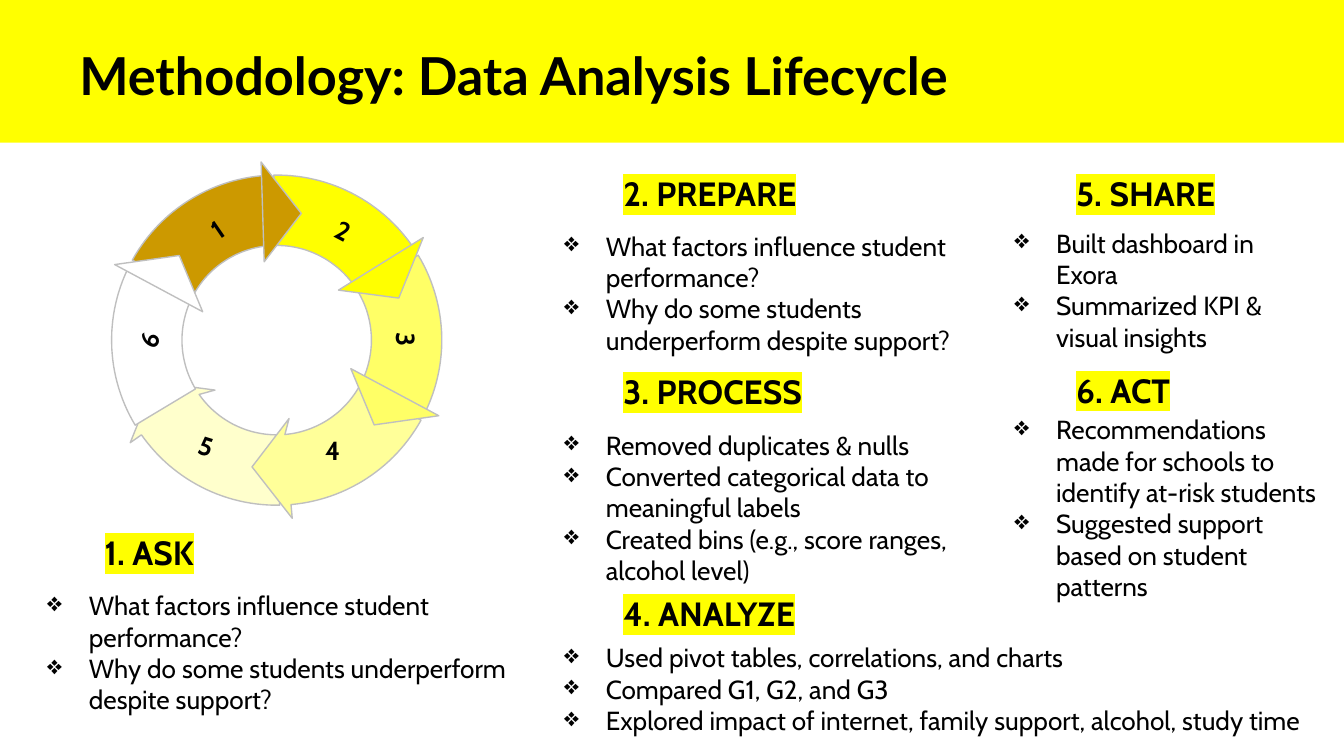
from dataclasses import dataclass
from math import cos, radians, sin

from lxml.etree import SubElement
from pptx import Presentation
from pptx.dml.color import RGBColor
from pptx.enum.shapes import MSO_SHAPE
from pptx.enum.text import MSO_ANCHOR, PP_ALIGN
from pptx.oxml.ns import qn
from pptx.util import Cm, Pt


@dataclass(frozen=True)
class Theme:
    accent: str = "FFFF00"
    ink: str = "000000"
    outline: str = "BFBFBF"
    steps: tuple = ("CC9900", "FFFF00", "FFFF66", "FFFF99", "FFFFCC", "FFFFFF")
    title_font: str = "Lato"
    body_font: str = "Cabin"
    title_size: int = 28
    heading_size: int = 18
    body_size: int = 14


theme = Theme()


def ring_point(radius, angle):
    turn = radians(angle)
    return Cm(5.23 + radius * sin(turn)), Cm(6.43 - radius * cos(turn))


def add_text(left, top, width, height, lines, size, font=theme.body_font, bold=False,
             anchor=MSO_ANCHOR.MIDDLE, align=PP_ALIGN.LEFT, bullet=False, highlight=False):
    box = page.shapes.add_textbox(Cm(left), Cm(top), Cm(width), Cm(height))
    frame = box.text_frame
    frame.word_wrap = True
    frame.vertical_anchor = anchor
    frame.margin_left = frame.margin_right = Cm(0.25)
    frame.margin_top = frame.margin_bottom = Cm(0.25)
    for index, line in enumerate(lines):
        para = frame.add_paragraph() if index else frame.paragraphs[0]
        para.alignment = align
        if bullet:
            properties = para._p.get_or_add_pPr()
            properties.set("marL", str(Cm(0.79)))
            properties.set("indent", str(-Cm(0.79)))
            bullet_color = SubElement(properties, qn("a:buClr"))
            SubElement(bullet_color, qn("a:srgbClr"), val=theme.ink)
            SubElement(properties, qn("a:buChar"), char="❖")
        span = para.add_run()
        span.text = line
        span.font.size = Pt(size)
        span.font.bold = bold
        span.font.color.rgb = RGBColor.from_string(theme.ink)
        span.font.name = font
        if highlight:
            properties = span._r.get_or_add_rPr()
            marker = SubElement(properties, qn("a:highlight"))
            SubElement(marker, qn("a:srgbClr"), val=theme.accent)
            properties.find(qn("a:latin")).addprevious(marker)
    return box


deck = Presentation()
deck.slide_width = Cm(25.4)
deck.slide_height = Cm(14.29)
page = deck.slides.add_slide(deck.slide_layouts[6])

banner = page.shapes.add_shape(MSO_SHAPE.RECTANGLE, 0, 0, deck.slide_width, Cm(2.7))
banner.shadow.inherit = False
banner.fill.solid()
banner.fill.fore_color.rgb = RGBColor.from_string(theme.accent)
banner.line.fill.background()
add_text(1.25, 0.56, 22.28, 1.55, ["Methodology: Data Analysis Lifecycle"],
         theme.title_size, theme.title_font, bold=True, anchor=MSO_ANCHOR.TOP)

cycle_parts = []
for step in (5, 4, 3, 2, 1, 6):
    start = 60 * step + 239
    end = start + 56
    outer_arc = [ring_point(3.12, angle) for angle in range(start, end + 1, 2)]
    inner_arc = [ring_point(1.79, angle) for angle in range(end, start - 1, -2)]
    head = [ring_point(3.38, end), ring_point(2.44, end + 16), ring_point(1.5, end - 4)]
    if step in (4, 5):
        outlines = [outer_arc + head + inner_arc]
    else:
        outlines = [outer_arc + inner_arc, head]
    for outline in outlines:
        builder = page.shapes.build_freeform(*outline[0])
        builder.add_line_segments(outline[1:], close=True)
        part = builder.convert_to_shape()
        part.shadow.inherit = False
        part.fill.solid()
        part.fill.fore_color.rgb = RGBColor.from_string(theme.steps[step - 1])
        part.line.color.rgb = RGBColor.from_string(theme.outline)
        part.line.width = Pt(0.75)
        cycle_parts.append(part)
page.shapes.add_group_shape(cycle_parts)

step_numbers = [
    (3.3, 3.86, 325.6), (5.69, 3.89, 27.7), (6.88, 5.94, 90),
    (5.49, 8.03, 0), (3.1, 7.95, 17.4), (2.01, 5.94, 294.7),
]
for step, (left, top, rotation) in enumerate(step_numbers, 1):
    number = add_text(left, top, 1.6, 0.94, [str(step)], theme.body_size,
                      bold=True, align=PP_ALIGN.CENTER)
    number.rotation = rotation

sections = [
    ("1. ASK", (1.73, 9.91, 9.78), (0.64, 11.63, 10.08, 1.4),
     ["What factors influence student performance?",
      "Why do some students underperform despite support?"]),
    ("2. PREPARE", (11.53, 3.12, 6.3), (10.41, 4.24, 8.05, 2.59),
     ["What factors influence student performance?",
      "Why do some students underperform despite support?"]),
    ("3. PROCESS", (11.53, 6.86, 3.96), (10.41, 8, 8.05, 3.18),
     ["Removed duplicates & nulls",
      "Converted categorical data to meaningful labels",
      "Created bins (e.g., score ranges, alcohol level)"]),
    ("4. ANALYZE", (11.53, 11.05, 5.13), (10.41, 12.04, 14.81, 1.96),
     ["Used pivot tables, correlations, and charts",
      "Compared G1, G2, and G3",
      "Explored impact of internet, family support, alcohol, study time"]),
    ("5. SHARE", (20.09, 3.12, 5.13), (18.92, 4.5, 6.3, 1.96),
     ["Built dashboard in Exora", "Summarized KPI & visual insights"]),
    ("6. ACT", (20.09, 6.83, 5.13), (18.92, 8.1, 6.48, 3),
     ["Recommendations made for schools to identify at-risk students",
      "Suggested support based on student patterns"]),
]
for heading, heading_place, list_place, points in sections:
    add_text(*heading_place, 1.07, [heading], theme.heading_size, bold=True, highlight=True)
    add_text(*list_place, points, theme.body_size, bullet=True)

deck.save("out.pptx")
